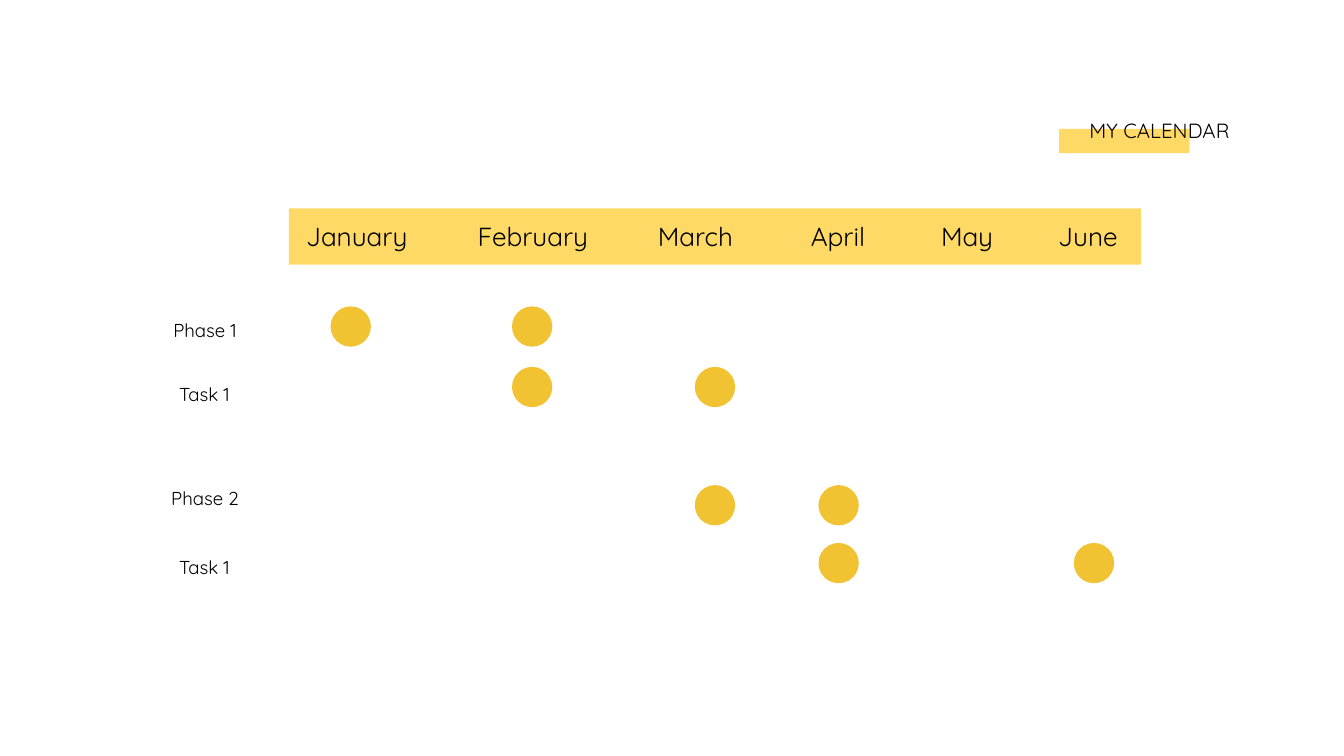
import pptx
import pptx.util
import pptx.dml.color
import pptx.enum.shapes
import pptx.enum.text

Inches = pptx.util.Inches
RGBColor = pptx.dml.color.RGBColor
MSO_SHAPE = pptx.enum.shapes.MSO_SHAPE
MSO_ANCHOR = pptx.enum.text.MSO_ANCHOR
PP_ALIGN = pptx.enum.text.PP_ALIGN

BLACK = RGBColor(0x00, 0x00, 0x00)
LIGHT_YELLOW = RGBColor(0xFF, 0xD9, 0x66)
DARK_YELLOW = RGBColor(0xF1, 0xC2, 0x32)

MONTHS = [
    ("January", 2.21),
    ("February", 3.52),
    ("March", 4.73),
    ("April", 5.79),
    ("May", 6.75),
    ("June", 7.65),
]
DOT_LEFTS = {"January": 2.46, "February": 3.81, "March": 5.17, "April": 6.09, "June": 7.99}
PHASE = {"left": 1.13, "width": 0.79, "line_spacing": 1.0}
TASK = {"left": 1.15, "width": 0.74, "line_spacing": 1.15}
ROWS = [
    ("Phase 1", PHASE, 2.37, 2.28, ["January", "February"]),
    ("Task 1", TASK, 2.82, 2.73, ["February", "March"]),
    ("Phase 2", PHASE, 3.62, 3.61, ["March", "April"]),
    ("Task 1", TASK, 4.11, 4.04, ["April", "June"]),
]
DOT_SIZE = 0.3


class CalendarSlide:
    font_name = "Quicksand"

    def __init__(self, slide):
        self.slide = slide

    def style(self, paragraph, size, alignment):
        paragraph.alignment = alignment
        paragraph.font.name = self.font_name
        paragraph.font.size = pptx.util.Pt(size)
        paragraph.font.color.rgb = BLACK

    def shape(self, kind, left, top, width, height, color):
        shape = self.slide.shapes.add_shape(
            kind, Inches(left), Inches(top), Inches(width), Inches(height)
        )
        shape.shadow.inherit = False
        shape.fill.solid()
        shape.fill.fore_color.rgb = color
        shape.line.fill.background()
        return shape

    def title(self, text, left, top, width, height, backdrop):
        title = self.slide.shapes.title
        title.left, title.top = Inches(left), Inches(top)
        title.width, title.height = Inches(width), Inches(height)
        frame = title.text_frame
        frame.text = text
        frame.auto_size = pptx.enum.text.MSO_AUTO_SIZE.NONE
        frame.vertical_anchor = MSO_ANCHOR.BOTTOM
        frame.margin_left = frame.margin_right = Inches(0.1)
        frame.margin_top = frame.margin_bottom = Inches(0.1)
        self.style(frame.paragraphs[0], 11, PP_ALIGN.RIGHT)
        backdrop.element.addnext(title.element)

    def label(self, text, size, left, top, width, height, line_spacing=1.0):
        box = self.slide.shapes.add_textbox(
            Inches(left), Inches(top), Inches(width), Inches(height)
        )
        frame = box.text_frame
        frame.word_wrap = True
        frame.vertical_anchor = MSO_ANCHOR.TOP
        frame.margin_left = frame.margin_right = 0
        frame.margin_top = frame.margin_bottom = 0
        frame.text = text
        paragraph = frame.paragraphs[0]
        paragraph.line_spacing = line_spacing
        paragraph.space_after = pptx.util.Pt(16)
        self.style(paragraph, size, PP_ALIGN.CENTER)


def main():
    presentation = pptx.Presentation()
    presentation.slide_width = Inches(10)
    presentation.slide_height = Inches(10 * 9 / 16)
    title_only = presentation.slide_layouts[5]
    calendar = CalendarSlide(presentation.slides.add_slide(title_only))

    calendar.shape(MSO_SHAPE.RECTANGLE, 2.15, 1.55, 6.34, 0.42, LIGHT_YELLOW)
    highlight = calendar.shape(MSO_SHAPE.RECTANGLE, 7.88, 0.96, 0.97, 0.18, LIGHT_YELLOW)
    calendar.title("MY CALENDAR", 0.78, 0.78, 8.47, 0.38, highlight)

    for month, left in MONTHS:
        calendar.label(month, 14, left, 1.64, 0.89, 0.33)

    for name, layout, label_top, dot_top, months in ROWS:
        calendar.label(name, 10, top=label_top, height=0.28, **layout)
        for month in months:
            calendar.shape(
                MSO_SHAPE.OVAL, DOT_LEFTS[month], dot_top, DOT_SIZE, DOT_SIZE, DARK_YELLOW
            )

    presentation.save("out.pptx")


if __name__ == "__main__":
    main()
